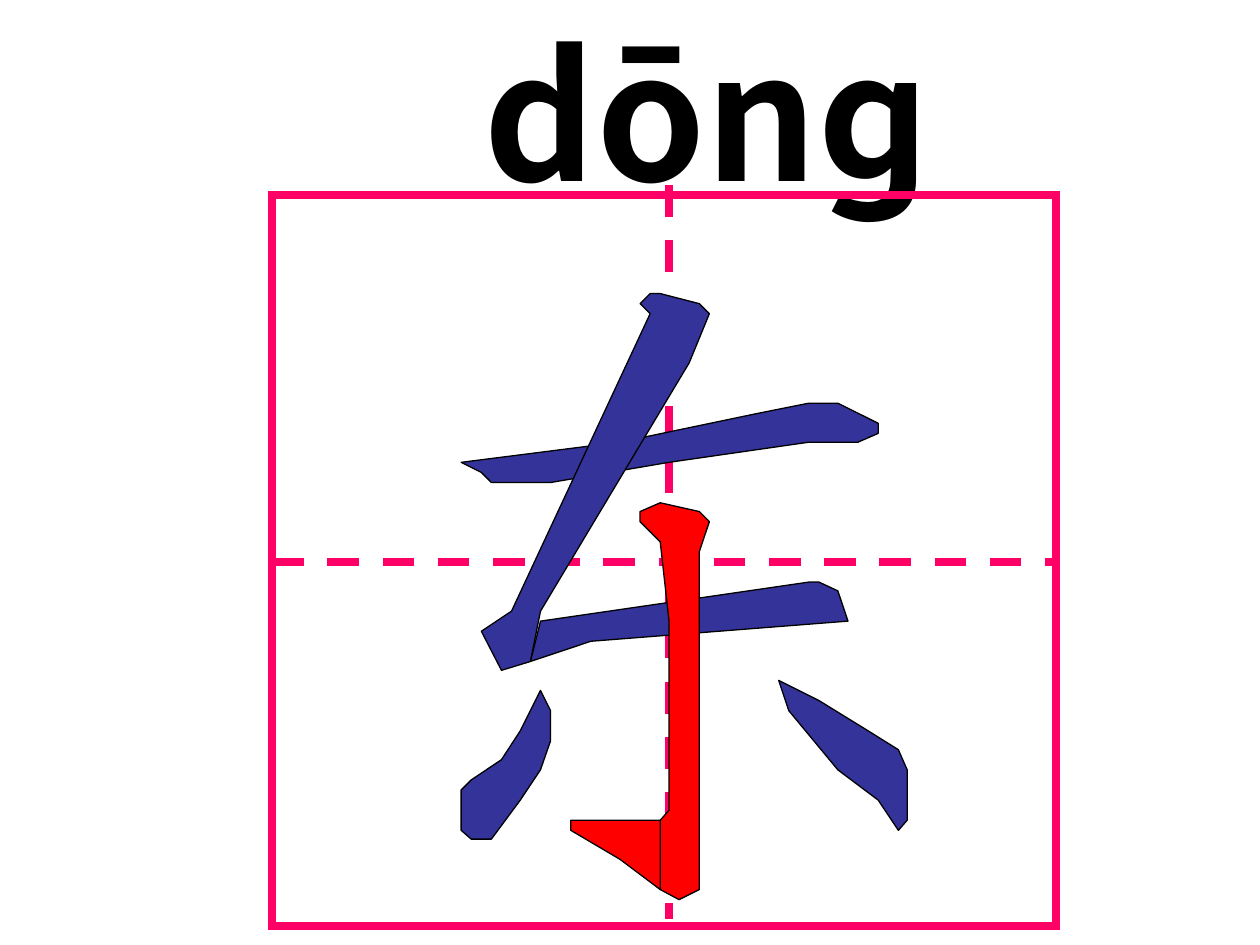
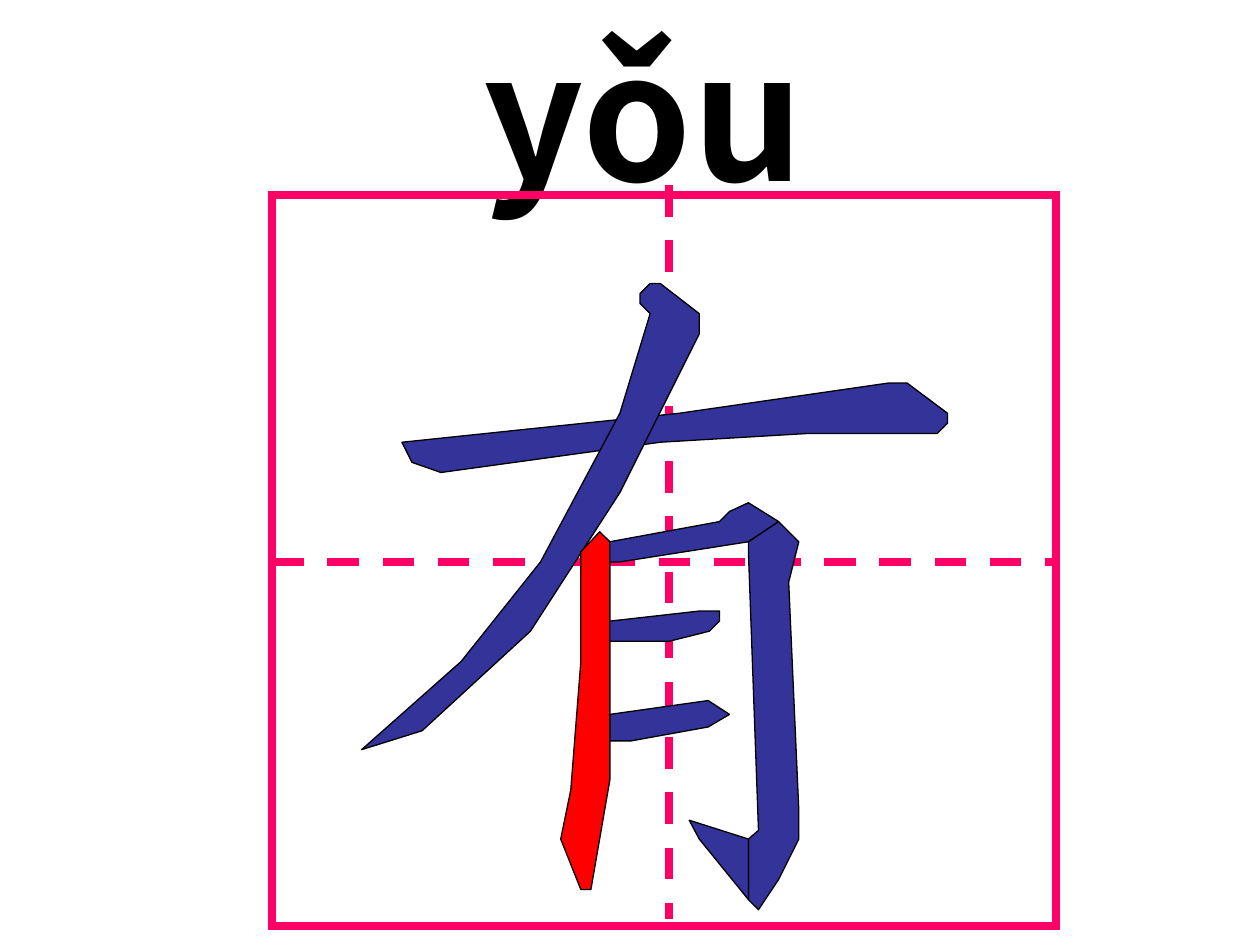
from dataclasses import dataclass

from lxml.etree import SubElement
from pptx import Presentation
from pptx.dml.color import RGBColor
from pptx.enum.dml import MSO_LINE
from pptx.enum.shapes import MSO_CONNECTOR, MSO_SHAPE
from pptx.enum.text import MSO_ANCHOR, PP_ALIGN
from pptx.oxml.ns import qn
from pptx.slide import Slide
from pptx.util import Pt

PX = 9144  # EMU per px, 100 px to the inch
FONT = "Noto Sans CJK SC"
COLORS = {
    "ink": "000000",
    "grid": "FF0066",
    "stroke": "333399",
    "radical": "FF0000",
}
GRID_WIDTH = 4.5
OUTLINE_WIDTH = 0.75

Point = tuple[int, int]


@dataclass(frozen=True)
class Stroke:
    outline: tuple[Point, ...]
    color: str = "stroke"


@dataclass(frozen=True)
class Character:
    pinyin: str
    strokes: tuple[Stroke, ...]


@dataclass(frozen=True)
class GuideLine:
    start: Point
    end: Point
    color: str = "grid"
    width: float = GRID_WIDTH
    dashed: bool = True


DONG = Character("dōnɡ", (
    Stroke(((366, 367), (492, 351), (602, 328), (642, 320), (665, 320), (681, 328),
            (697, 336), (697, 344), (681, 351), (642, 351), (531, 367), (437, 383),
            (390, 383), (382, 375))),
    Stroke(((429, 548), (413, 580), (398, 603), (374, 619), (366, 627), (366, 659),
            (374, 666), (390, 666), (413, 635), (429, 611), (437, 588), (437, 564))),
    Stroke(((618, 540), (650, 556), (689, 580), (713, 595), (720, 611), (720, 651),
            (713, 659), (697, 635), (665, 611), (626, 564))),
    Stroke(((516, 233), (508, 241), (516, 249), (406, 485), (382, 501), (398, 532),
            (421, 525), (429, 485), (547, 288), (563, 249), (555, 241), (524, 233))),
    Stroke(((429, 493), (642, 462), (650, 462), (665, 469), (673, 493), (469, 509),
            (421, 525))),
    Stroke(((524, 399), (508, 406), (508, 414), (524, 430), (531, 493), (531, 643),
            (524, 651), (524, 706), (539, 714), (555, 706), (555, 438), (563, 414),
            (555, 406)), "radical"),
    Stroke(((524, 651), (453, 651), (453, 659), (492, 682), (524, 706)), "radical"),
))

YOU = Character("yǒu", (
    Stroke(((319, 351), (539, 328), (705, 304), (720, 304), (752, 328), (752, 336),
            (744, 344), (642, 344), (524, 351), (350, 375), (327, 367))),
    Stroke(((516, 225), (508, 233), (508, 241), (516, 249), (492, 328), (429, 446),
            (366, 525), (287, 595), (335, 580), (421, 501), (492, 391), (555, 265),
            (555, 249), (524, 225))),
    Stroke(((461, 438), (461, 525), (453, 627), (445, 666), (461, 706), (469, 706),
            (484, 619), (484, 430), (476, 422)), "radical"),
    Stroke(((484, 430), (571, 414), (579, 406), (594, 399), (618, 414), (594, 430),
            (492, 446), (484, 446))),
    Stroke(((594, 430), (594, 438), (602, 659), (594, 666), (594, 714), (602, 722),
            (618, 698), (634, 666), (634, 643), (626, 462), (634, 430), (618, 414))),
    Stroke(((594, 666), (547, 651), (555, 666), (594, 714))),
    Stroke(((484, 493), (555, 485), (571, 485), (571, 493), (563, 501), (531, 509),
            (484, 509))),
    Stroke(((484, 567), (562, 556), (579, 567), (562, 577), (501, 588), (484, 588))),
))

CENTRE_DOT = GuideLine((185, 446), (185, 446), "ink", OUTLINE_WIDTH, dashed=False)
GUIDES = (
    GuideLine((216, 446), (839, 446)),
    GuideLine((531, 147), (531, 729)),
)


def rgb(name: str) -> RGBColor:
    return RGBColor.from_string(COLORS[name])


def add_text(slide: Slide, text: str, *, left: int, top: int, width: int, height: int,
             size: float, color: str = "ink", bold: bool = False) -> None:
    box = slide.shapes.add_textbox(left * PX, top * PX, width * PX, height * PX)
    frame = box.text_frame
    frame.word_wrap = True
    frame.vertical_anchor = MSO_ANCHOR.TOP
    paragraph = frame.paragraphs[0]
    paragraph.alignment = PP_ALIGN.LEFT
    run = paragraph.add_run()
    run.text = text
    run.font.size = Pt(size)
    run.font.bold = bold
    run.font.color.rgb = rgb(color)
    run.font.name = FONT
    SubElement(run.font._element, qn("a:ea"), typeface=FONT)


def add_guide(slide: Slide, guide: GuideLine) -> None:
    ends = (value * PX for value in guide.start + guide.end)
    connector = slide.shapes.add_connector(MSO_CONNECTOR.STRAIGHT, *ends)
    connector.line.color.rgb = rgb(guide.color)
    connector.line.width = Pt(guide.width)
    if guide.dashed:
        connector.line.dash_style = MSO_LINE.DASH
    SubElement(connector._element.spPr, qn("a:effectLst"))


def add_frame(slide: Slide) -> None:
    """Draw the unfilled square, with sharp corners, around the character."""
    frame = slide.shapes.add_shape(MSO_SHAPE.RECTANGLE, 216 * PX, 155 * PX, 622 * PX, 580 * PX)
    frame.shadow.inherit = False
    frame.fill.background()
    frame.line.color.rgb = rgb("grid")
    frame.line.width = Pt(GRID_WIDTH)
    SubElement(frame.line._get_or_add_ln(), qn("a:miter"), lim="800000")


def add_stroke(slide: Slide, stroke: Stroke) -> None:
    start, *rest = stroke.outline
    builder = slide.shapes.build_freeform(*start, scale=PX)
    builder.add_line_segments(rest, close=True)
    shape = builder.convert_to_shape()
    shape.shadow.inherit = False
    shape.fill.solid()
    shape.fill.fore_color.rgb = rgb(stroke.color)
    shape.line.color.rgb = rgb("ink")
    shape.line.width = Pt(OUTLINE_WIDTH)


def add_character_slide(presentation: Presentation, character: Character) -> None:
    slide = presentation.slides.add_slide(presentation.slide_layouts[6])
    add_guide(slide, CENTRE_DOT)
    add_text(slide, character.pinyin, left=374, top=0, width=449, height=177,
             size=100, bold=True)
    add_frame(slide)
    for guide in GUIDES:
        add_guide(slide, guide)
    for stroke in character.strokes:
        add_stroke(slide, stroke)


def main() -> None:
    presentation = Presentation()
    presentation.slide_width = 1000 * PX
    presentation.slide_height = 750 * PX
    for character in (DONG, YOU):
        add_character_slide(presentation, character)
    presentation.save("out.pptx")


if __name__ == "__main__":
    main()
